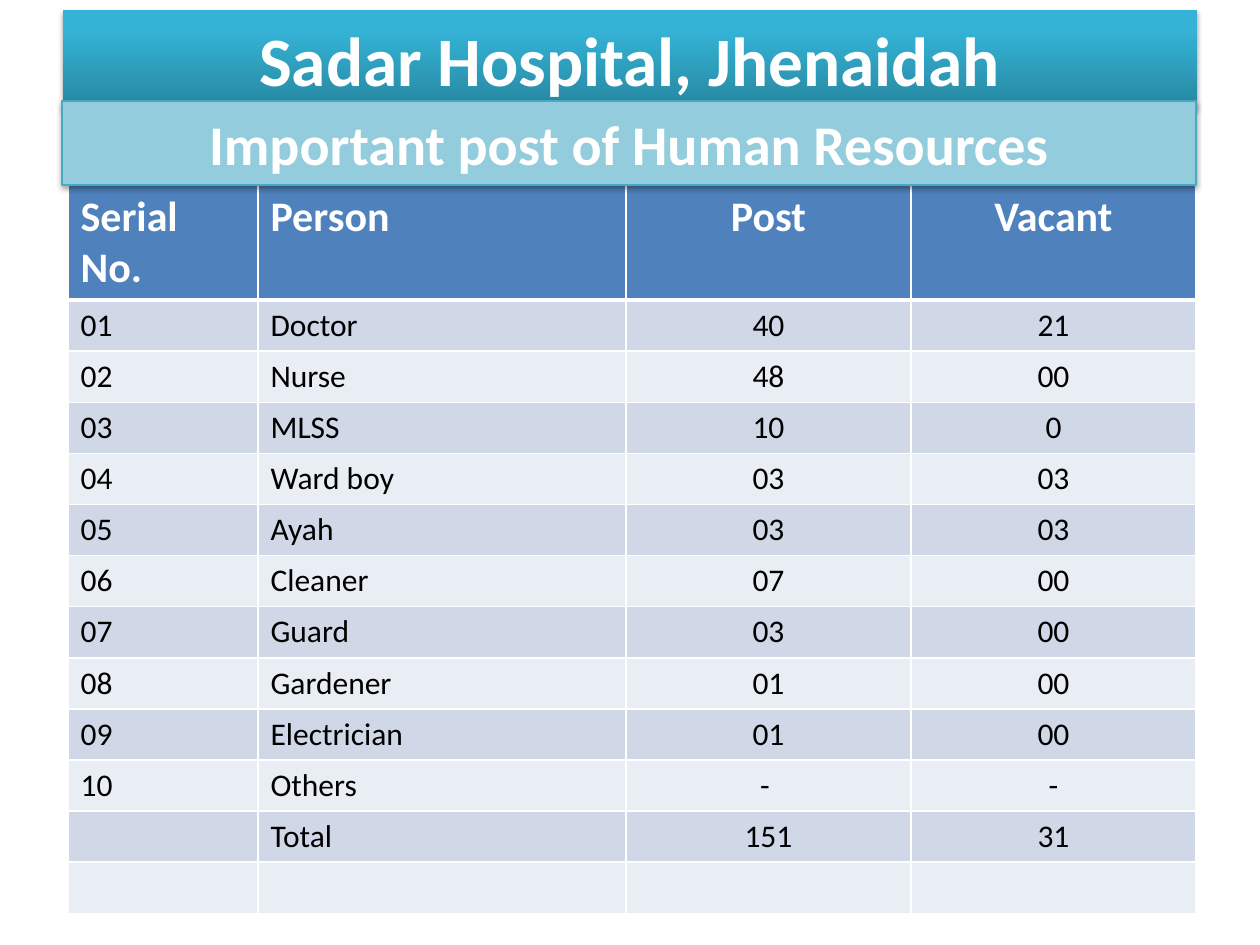
from lxml.etree import SubElement
from pptx import Presentation
from pptx.dml.color import RGBColor
from pptx.enum.shapes import MSO_SHAPE
from pptx.enum.text import MSO_ANCHOR, PP_ALIGN
from pptx.oxml.ns import qn
from pptx.util import Emu, Pt

COLORS = {
    "white": "FFFFFF", "black": "000000", "header": "4F81BD",
    "band_dark": "D0D8E8", "band_light": "E9EDF4",
    "title_top": "34B3D6", "title_bottom": "2787A0",
    "subtitle": "93CDDD", "subtitle_line": "46AAC5",
}
FONT = "Calibri"
TITLE = "Sadar Hospital, Jhenaidah"
SUBTITLE = "Important post of Human Resources"
ROWS = [
    ("Serial No.", "Person", "Post", "Vacant"),
    ("01", "Doctor", "40", "21"),
    ("02", "Nurse", "48", "00"),
    ("03", "MLSS", "10", "0"),
    ("04", "Ward boy", "03", "03"),
    ("05", "Ayah", "03", "03"),
    ("06", "Cleaner", "07", "00"),
    ("07", "Guard", "03", "00"),
    ("08", "Gardener", "01", "00"),
    ("09", "Electrician", "01", "00"),
    ("10", "Others", "- ", "-"),
    ("", "Total", "151", "31"),
    ("", "", "", ""),
]
COL_WIDTHS = [190, 368, 285, 285]
ALIGNS = [PP_ALIGN.LEFT, PP_ALIGN.LEFT, PP_ALIGN.CENTER, PP_ALIGN.CENTER]
HEADER_HEIGHT, ROW_HEIGHT = 112, 51
TABLE_LEFT, TABLE_TOP = 68, 185


def px(n):
    return Emu(round(n * 914400 / 126))


def rgb(name):
    return RGBColor.from_string(COLORS[name])


def write(tf, text, size, color, bold, align):
    p = tf.paragraphs[0]
    p.alignment = align
    r = p.add_run()
    r.text = text
    r.font.name, r.font.size, r.font.bold = FONT, Pt(size), bold
    r.font.color.rgb = rgb(color)


def add_shadow(sp, alpha):
    effects = SubElement(sp._element.spPr, qn("a:effectLst"))
    shadow = SubElement(effects, qn("a:outerShdw"), blurRad=str(Pt(3.1)),
                        dist=str(Pt(1.6)), dir="5400000", rotWithShape="0")
    color = SubElement(shadow, qn("a:srgbClr"), val=COLORS["black"])
    SubElement(color, qn("a:alpha"), val=str(alpha * 1000))


def add_banner(s, box, text, size):
    sp = s.shapes.add_shape(MSO_SHAPE.RECTANGLE, *map(px, box))
    tf = sp.text_frame
    tf.word_wrap = True
    tf.vertical_anchor = MSO_ANCHOR.MIDDLE
    write(tf, text, size, "white", True, PP_ALIGN.CENTER)
    return sp


def add_title(s):
    sp = add_banner(s, (63, 10, 1134, 98), TITLE, 39.6)
    sp.line.fill.background()
    sp.fill.gradient()
    sp.fill.gradient_angle = 90
    bottom, top = sp.fill.gradient_stops
    bottom.color.rgb, bottom.position = rgb("title_bottom"), 0
    top.color.rgb, top.position = rgb("title_top"), 0.8
    add_shadow(sp, 35)


def add_subtitle(s):
    sp = add_banner(s, (62, 101, 1134, 84), SUBTITLE, 32)
    sp.fill.solid()
    sp.fill.fore_color.rgb = rgb("subtitle")
    sp.line.color.rgb = rgb("subtitle_line")
    sp.line.width = Pt(0.75)
    add_shadow(sp, 38)


def set_borders(cell, top, bottom):
    tcPr = cell._tc.get_or_add_tcPr()
    for tag, width in (("lnL", 1), ("lnR", 1), ("lnT", top), ("lnB", bottom)):
        ln = SubElement(tcPr, qn(f"a:{tag}"), w=str(Pt(width)))
        fill = SubElement(ln, qn("a:solidFill"))
        SubElement(fill, qn("a:srgbClr"), val=COLORS["white"])


def add_staff_table(s):
    heights = [HEADER_HEIGHT] + [ROW_HEIGHT] * (len(ROWS) - 1)
    frame = s.shapes.add_table(len(ROWS), len(COL_WIDTHS), px(TABLE_LEFT),
                               px(TABLE_TOP), px(sum(COL_WIDTHS)), px(sum(heights)))
    table = frame.table
    for col, width in zip(table.columns, COL_WIDTHS):
        col.width = px(width)
    for i, values in enumerate(ROWS):
        table.rows[i].height = px(heights[i])
        header = i == 0
        fill = "header" if header else "band_dark" if i % 2 else "band_light"
        size, color = (24, "white") if header else (18, "black")
        for j, text in enumerate(values):
            cell = table.cell(i, j)
            set_borders(cell, 3 if i == 1 else 1, 3 if header else 1)
            cell.fill.solid()
            cell.fill.fore_color.rgb = rgb(fill)
            if text:
                write(cell.text_frame, text, size, color, header, ALIGNS[j])


def main():
    prs = Presentation()
    prs.slide_width, prs.slide_height = px(1260), px(945)
    s = prs.slides.add_slide(prs.slide_layouts[6])
    add_title(s)
    add_staff_table(s)
    add_subtitle(s)
    prs.save("out.pptx")


if __name__ == "__main__":
    main()
